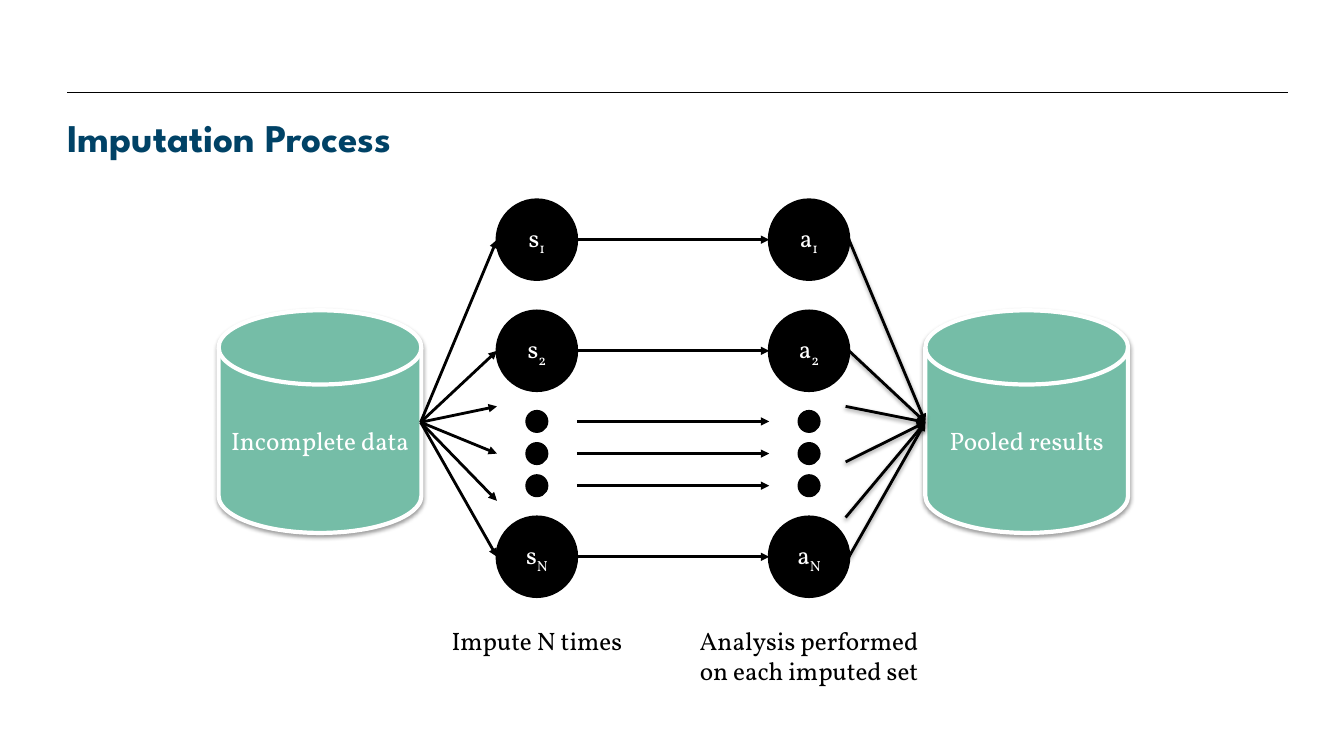
import pptx
import pptx.dml.color
import pptx.enum.shapes
import pptx.enum.text
import pptx.oxml
import pptx.oxml.ns
import pptx.util

Cm = pptx.util.Cm
Pt = pptx.util.Pt
Shape = pptx.enum.shapes.MSO_SHAPE
Align = pptx.enum.text.PP_ALIGN
Anchor = pptx.enum.text.MSO_ANCHOR

BLACK, WHITE, GREEN, NAVY = "000000", "FFFFFF", "75BDA7", "004266"
NAMESPACE = pptx.oxml.ns.nsdecls("a")
SOFT_SHADOW = (
    '<a:outerShdw %s blurRad="39370" dist="20320" dir="5400000" rotWithShape="0">'
    '<a:srgbClr val="000000"><a:alpha val="38000"/></a:srgbClr></a:outerShdw>' % NAMESPACE
)


def color(hex_string):
    return pptx.dml.color.RGBColor.from_string(hex_string)


class Diagram:
    body_font = "Vollkorn"
    title_font = "League Spartan"
    body_size = 18

    def __init__(self, slide):
        self.slide = slide

    def format_text(self, frame, font, size, text_color, align, bold=False):
        for paragraph in frame.paragraphs:
            paragraph.alignment = align
            for run in paragraph.runs:
                run.font.name = font
                run.font.size = Pt(size)
                run.font.bold = bold
                run.font.color.rgb = color(text_color)

    def title(self, text):
        heading = self.slide.shapes.title
        heading.left, heading.top, heading.width, heading.height = Cm(1.7), Cm(2.84), Cm(30.48), Cm(1.2)
        frame = heading.text_frame
        frame.text = text
        frame.auto_size = pptx.enum.text.MSO_AUTO_SIZE.NONE
        frame.margin_left = frame.margin_top = frame.margin_right = frame.margin_bottom = 0
        frame.vertical_anchor = Anchor.MIDDLE
        self.format_text(frame, self.title_font, 28, NAVY, Align.LEFT, True)

    def solid(self, kind, left, top, width, height, fill, outline, outline_width, text="", subscript=""):
        solid = self.slide.shapes.add_shape(kind, Cm(left), Cm(top), Cm(width), Cm(height))
        solid.shadow.inherit = False
        solid.fill.solid()
        solid.fill.fore_color.rgb = color(fill)
        solid.line.color.rgb = color(outline)
        solid.line.width = Pt(outline_width)
        if text:
            frame = solid.text_frame
            frame.text = text
            frame.vertical_anchor = Anchor.MIDDLE
            if subscript:
                index = frame.paragraphs[0].add_run()
                index.text = subscript
                index._r.get_or_add_rPr().set("baseline", "-25000")
            self.format_text(frame, self.body_font, self.body_size, WHITE, Align.CENTER)
        return solid

    def disk(self, left, top, width, height, text):
        disk = self.solid(Shape.FLOWCHART_MAGNETIC_DISK, left, top, width, height, GREEN, WHITE, 3, text)
        effects = disk._element.spPr.find(pptx.oxml.ns.qn("a:effectLst"))
        effects.append(pptx.oxml.parse_xml(SOFT_SHADOW))

    def circle(self, center_x, center_y, diameter, text="", subscript=""):
        radius = diameter / 2
        self.solid(Shape.OVAL, center_x - radius, center_y - radius, diameter, diameter,
                   BLACK, BLACK, 2, text, subscript)

    def line(self, start, end, width=2, arrow=True, shadow=False):
        line = self.slide.shapes.add_connector(
            pptx.enum.shapes.MSO_CONNECTOR.STRAIGHT, *(Cm(value) for value in (*start, *end)))
        line.line.color.rgb = color(BLACK)
        line.line.width = Pt(width)
        properties = line._element.spPr
        if arrow:
            outline = properties.find(pptx.oxml.ns.qn("a:ln"))
            outline.append(pptx.oxml.parse_xml('<a:tailEnd %s type="triangle"/>' % NAMESPACE))
        effects = SOFT_SHADOW if shadow else ""
        properties.append(pptx.oxml.parse_xml("<a:effectLst %s>%s</a:effectLst>" % (NAMESPACE, effects)))

    def caption(self, center_x, top, width, height, text):
        caption = self.slide.shapes.add_textbox(Cm(center_x - width / 2), Cm(top), Cm(width), Cm(height))
        caption.text_frame.word_wrap = True
        caption.text_frame.text = text
        self.format_text(caption.text_frame, self.body_font, self.body_size, BLACK, Align.CENTER)


def main():
    presentation = pptx.Presentation()
    presentation.slide_width = Cm(33.87)
    presentation.slide_height = Cm(19.05)
    diagram = Diagram(presentation.slides.add_slide(presentation.slide_layouts[5]))

    node_size, dot_size = 2.01, 0.51
    node_radius = node_size / 2
    node_rows = {"1": 6.04, "2": 8.84, "N": 14.03}
    dot_rows = [10.62 + 0.81 * step for step in range(3)]
    impute_x, analysis_x = 13.53, 20.39
    impute_left, impute_right = impute_x - node_radius, impute_x + node_radius
    analysis_left, analysis_right = analysis_x - node_radius, analysis_x + node_radius
    incomplete_hub, pooled_hub = (10.6, 10.64), (23.32, 10.64)

    diagram.line((1.7, 2.34), (32.46, 2.34), width=0.75, arrow=False)
    diagram.title("Imputation Process")
    for left, text in ((5.51, "Incomplete data"), (23.32, "Pooled results")):
        diagram.disk(left, 7.82, 5.11, 5.61, text)

    for row in node_rows.values():
        diagram.line((analysis_right, row), pooled_hub, shadow=True)
    for step in range(3):
        diagram.line((21.31, 10.24 + 1.4 * step), pooled_hub, shadow=True)

    for center_x, letter in ((impute_x, "s"), (analysis_x, "a")):
        for index, row in node_rows.items():
            diagram.circle(center_x, row, node_size, letter, index)
        for row in dot_rows:
            diagram.circle(center_x, row, dot_size)

    fan_rows = [10.24 + 1.19 * step for step in range(3)]
    for row in [*node_rows.values(), *fan_rows]:
        diagram.line(incomplete_hub, (impute_left, row))
    for row in [*node_rows.values(), *dot_rows]:
        diagram.line((impute_right, row), (analysis_left, row))

    diagram.caption(impute_x, 15.62, 6.58, 1.03, "Impute N times")
    diagram.caption(analysis_x, 15.62, 6.58, 1.8, "Analysis performed on each imputed set")

    presentation.save("out.pptx")


if __name__ == "__main__":
    main()
